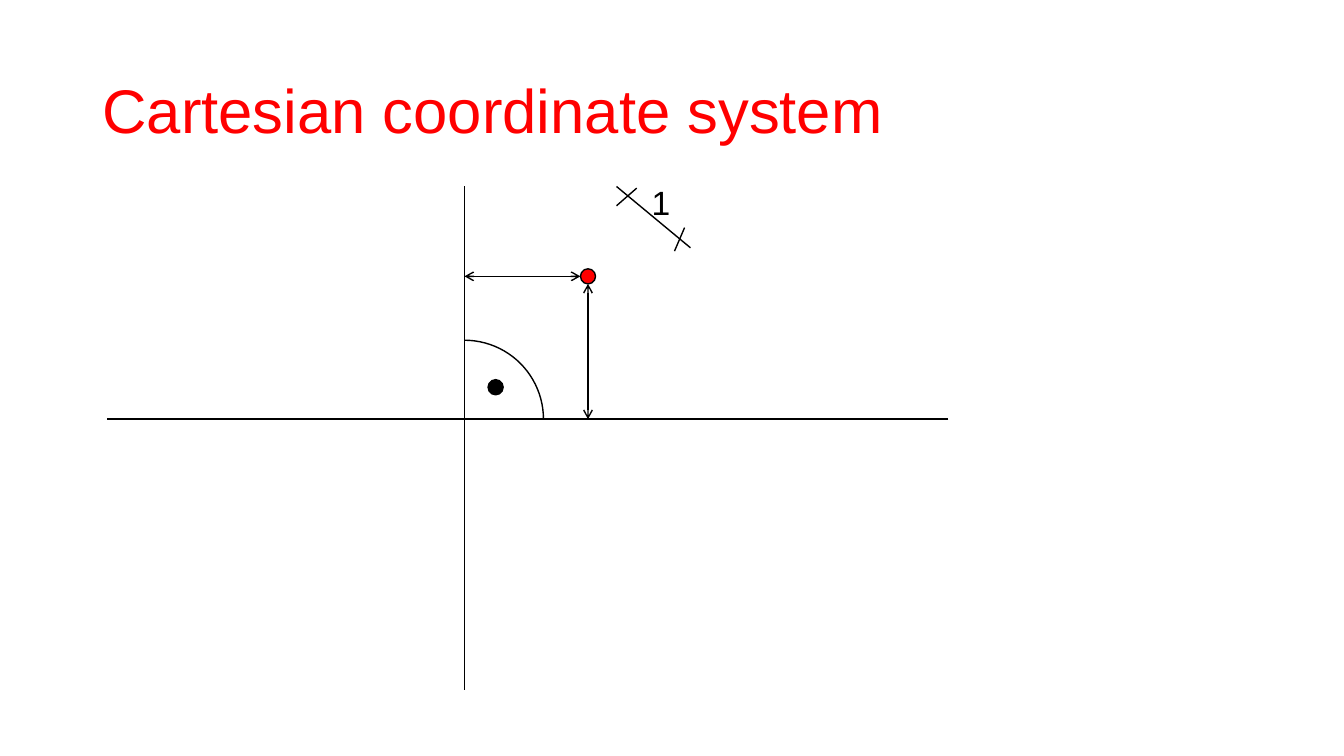
from pptx import Presentation
from pptx import util as u
from pptx.dml.color import RGBColor
from pptx.enum import shapes, text
from pptx.oxml.ns import qn
from lxml import etree

BLACK = RGBColor(0x00, 0x00, 0x00)
RED = RGBColor(0xFF, 0x00, 0x00)
COLUMNS, ROWS = 16, 9


class Diagram:
    """Draws on one slide; all lengths are grid columns and rows."""

    font = "Arial"
    stroke = u.Pt(1)

    def __init__(self, prs):
        self.slide = prs.slides.add_slide(prs.slide_layouts[6])
        self.cell_w = prs.slide_width / COLUMNS
        self.cell_h = prs.slide_height / ROWS

    def emu(self, col, row):
        return round(col * self.cell_w), round(row * self.cell_h)

    def outline(self, line):
        line.color.rgb = BLACK
        line.width = self.stroke

    def label(self, words, corner, extent, size, color, anchor, spacing=1.0):
        box = self.slide.shapes.add_textbox(*self.emu(*corner), *self.emu(*extent))
        frame = box.text_frame
        frame.word_wrap = True
        frame.vertical_anchor = anchor
        paragraph = frame.paragraphs[0]
        paragraph.line_spacing = spacing
        run = paragraph.add_run()
        run.text = words
        run.font.name = self.font
        run.font.size = u.Pt(size)
        run.font.color.rgb = color

    def line(self, start, end, arrows=False):
        segment = self.slide.shapes.add_connector(
            shapes.MSO_CONNECTOR.STRAIGHT, *self.emu(*start), *self.emu(*end))
        self.outline(segment.line)
        properties = segment._element.spPr
        if arrows:
            for tip in ("a:headEnd", "a:tailEnd"):
                etree.SubElement(properties.find(qn("a:ln")), qn(tip), type="arrow")
        etree.SubElement(properties, qn("a:effectLst"))

    def round_shape(self, preset, center, radius, fill=None):
        col, row = center
        figure = self.slide.shapes.add_shape(
            preset, *self.emu(col - radius, row - radius),
            *self.emu(2 * radius, 2 * radius))
        figure.shadow.inherit = False
        self.outline(figure.line)
        if fill is None:
            figure.fill.background()
        else:
            figure.fill.solid()
            figure.fill.fore_color.rgb = fill


def main():
    prs = Presentation()
    prs.slide_width, prs.slide_height = u.Inches(13.333), u.Inches(7.5)
    diagram = Diagram(prs)

    origin_x, origin_y = origin = (5.53, 4.99)
    point_x, point_y = point = (7.0, 3.29)
    dot_radius = 0.09
    top = 2.22

    diagram.label("Cartesian coordinate system", (1.1, 0.48), (13.8, 1.74),
                  44, RED, text.MSO_ANCHOR.MIDDLE, spacing=0.9)

    diagram.line((origin_x, top), (origin_x, 8.22))
    diagram.line((11.29, origin_y), (1.27, origin_y))

    unit_length = ((7.34, top), (8.22, 2.95))
    unit_ticks = [((7.34, 2.45), (7.58, 2.24)), ((8.03, 2.99), (8.15, 2.71))]
    for start, end in [unit_length, *unit_ticks]:
        diagram.line(start, end)
    diagram.label("1", (7.64, 2.11), (0.59, 0.61), 24, BLACK, text.MSO_ANCHOR.TOP)

    diagram.round_shape(shapes.MSO_SHAPE.ARC, origin, 0.94)
    diagram.round_shape(shapes.MSO_SHAPE.OVAL, (5.9, 4.61), dot_radius, BLACK)
    diagram.round_shape(shapes.MSO_SHAPE.OVAL, point, dot_radius, RED)

    diagram.line((point_x - dot_radius, point_y), (origin_x, point_y), arrows=True)
    diagram.line((point_x, point_y + dot_radius), (point_x, origin_y), arrows=True)

    prs.save("out.pptx")


if __name__ == "__main__":
    main()
